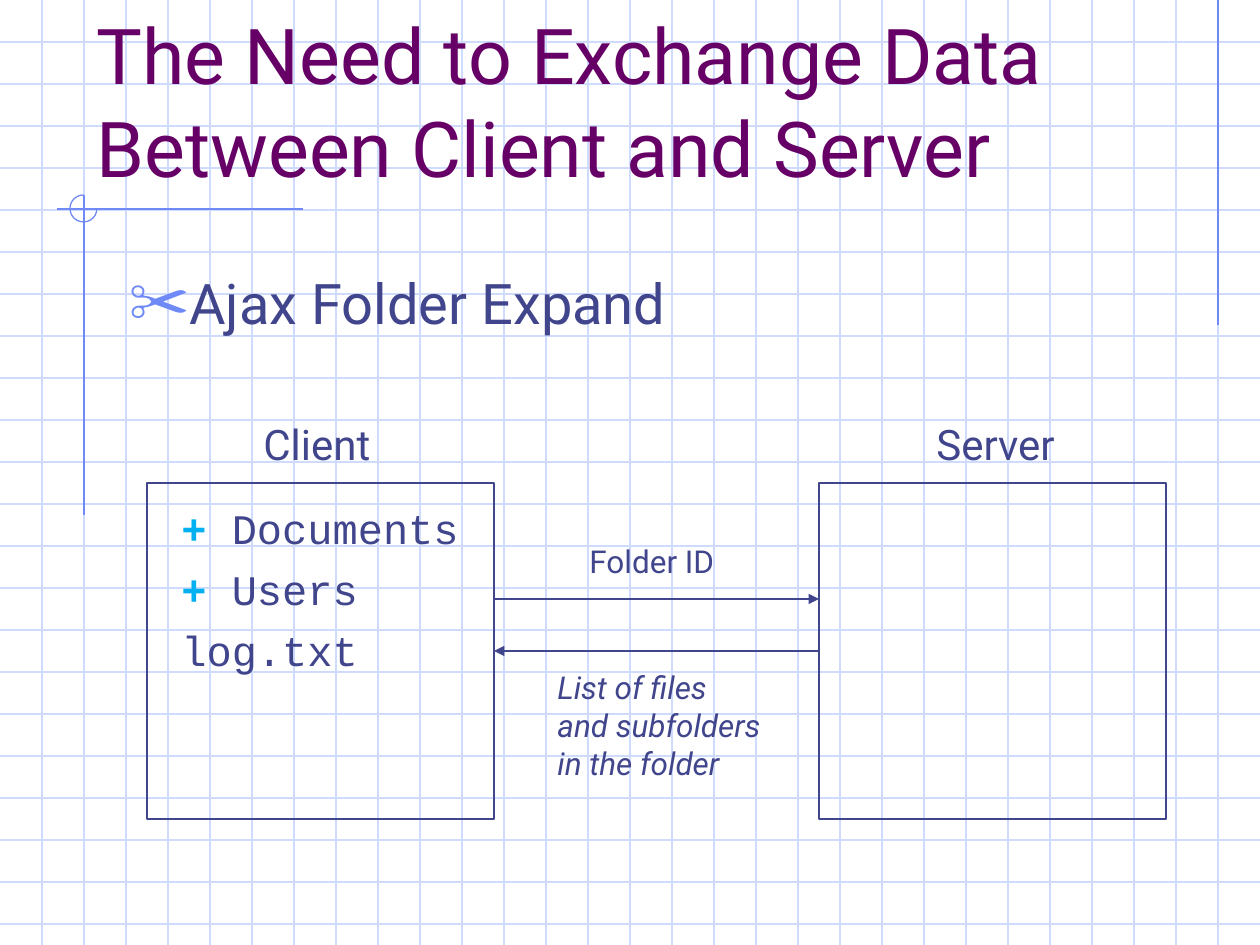
"""Build a slide on the data exchanged between an Ajax client and its server."""
from dataclasses import dataclass

from lxml import etree
from pptx import Presentation
from pptx.dml.color import RGBColor
from pptx.enum.shapes import MSO_CONNECTOR, MSO_SHAPE
from pptx.enum.text import MSO_ANCHOR, MSO_AUTO_SIZE, PP_ALIGN
from pptx.oxml.ns import qn
from pptx.util import Emu, Pt

STRAIGHT = MSO_CONNECTOR.STRAIGHT
RECTANGLE, ARC = MSO_SHAPE.RECTANGLE, MSO_SHAPE.ARC
TOP, BOTTOM = MSO_ANCHOR.TOP, MSO_ANCHOR.BOTTOM
NO_RESIZE, LEFT = MSO_AUTO_SIZE.NONE, PP_ALIGN.LEFT

EMU_PER_PX = 914400 / 126
WIDTH, HEIGHT, GRID = 1260, 945, 42
SANS, MONO = "Roboto", "Courier New"
COLORS = {
    "grid": "CFDBFD",
    "accent": "6F89F7",
    "title": "660066",
    "text": "40458C",
    "plus": "00B0F0",
}


@dataclass
class Box:
    left: int
    top: int
    width: int
    height: int


@dataclass
class Line:
    start: tuple[int, int]
    end: tuple[int, int]
    color: str
    arrow: bool = False


@dataclass
class Label:
    text: str
    box: Box
    size: int
    italic: bool = False


@dataclass
class Entry:
    marker: str
    name: str


GRID_LINES = [Line((0, y), (WIDTH, y), "grid") for y in range(GRID, HEIGHT, GRID)] + [
    Line((x, 0), (x, HEIGHT), "grid") for x in range(GRID, WIDTH, GRID)
]
ACCENT_LINES = [
    Line((1218, 0), (1218, 325), "accent"),
    Line((303, 209), (57, 209), "accent"),
    Line((84, 195), (84, 515), "accent"),
]
MESSAGES = [
    Line((494, 599), (819, 599), "text", arrow=True),
    Line((819, 651), (494, 651), "text", arrow=True),
]
RING = Box(70, 195, 27, 27)
MACHINES = [Box(147, 483, 347, 336), Box(819, 483, 347, 336)]
LABELS = [
    Label("Client", Box(251, 412, 137, 63), 24),
    Label("Server", Box(924, 412, 151, 63), 24),
    Label("Folder ID", Box(577, 536, 160, 50), 18),
    Label("List of files\nand subfolders\nin the folder", Box(545, 662, 233, 126), 18, italic=True),
]
FOLDER_BOX = Box(169, 496, 302, 185)
FOLDER = [Entry("+", " Documents"), Entry("+", " Users"), Entry("", "log.txt")]


def px(value: int) -> Emu:
    return Emu(round(value * EMU_PER_PX))


def frame(box: Box) -> tuple:
    return px(box.left), px(box.top), px(box.width), px(box.height)


def rgb(color: str) -> RGBColor:
    return RGBColor.from_string(COLORS[color])


def style_font(font, name: str, size: int, color: str) -> None:
    font.name = name
    font.size = Pt(size)
    font.color.rgb = rgb(color)


def draw_line(shapes, line: Line) -> None:
    connector = shapes.add_connector(STRAIGHT, *map(px, line.start + line.end))
    connector.line.color.rgb = rgb(line.color)
    connector.line.width = Pt(0.75)
    properties = connector._element.spPr
    if line.arrow:
        etree.SubElement(properties.find(qn("a:ln")), qn("a:tailEnd"), type="triangle")
    etree.SubElement(properties, qn("a:effectLst"))


def draw_outline(shapes, kind, box: Box, color: str):
    shape = shapes.add_shape(kind, *frame(box))
    shape.shadow.inherit = False
    shape.fill.background()
    shape.line.color.rgb = rgb(color)
    shape.line.width = Pt(0.75)
    return shape


def add_text_frame(shapes, box: Box):
    text_frame = shapes.add_textbox(*frame(box)).text_frame
    text_frame.word_wrap = False
    return text_frame


def draw_label(shapes, label: Label) -> None:
    text_frame = add_text_frame(shapes, label.box)
    text_frame.text = label.text
    for paragraph in text_frame.paragraphs:
        style_font(paragraph.runs[0].font, SANS, label.size, "text")
        paragraph.runs[0].font.italic = label.italic


def draw_folder(shapes, box: Box, entries: list[Entry]) -> None:
    text_frame = add_text_frame(shapes, box)
    for index, entry in enumerate(entries):
        paragraph = text_frame.add_paragraph() if index else text_frame.paragraphs[0]
        paragraph.space_after = Pt(6)
        for text, color in ((entry.marker, "plus"), (entry.name, "text")):
            if text:
                run = paragraph.add_run()
                run.text = text
                style_font(run.font, MONO, 24, color)
                run.font.bold = color == "plus"


def fill_placeholder(placeholder, text: str, box: Box, anchor, size: int, color: str):
    placeholder.left, placeholder.top, placeholder.width, placeholder.height = frame(box)
    text_frame = placeholder.text_frame
    text_frame.text = text
    text_frame.word_wrap = True
    text_frame.auto_size = NO_RESIZE
    text_frame.vertical_anchor = anchor
    paragraph = text_frame.paragraphs[0]
    paragraph.alignment = LEFT
    paragraph.space_before = Pt(0)
    style_font(paragraph.runs[0].font, SANS, size, color)
    return paragraph


def add_scissors_bullet(paragraph) -> None:
    properties = paragraph._p.get_or_add_pPr()
    properties.set("marL", str(px(48)))
    properties.set("indent", str(px(-48)))
    bullet_color = etree.SubElement(properties, qn("a:buClr"))
    etree.SubElement(bullet_color, qn("a:srgbClr"), val=COLORS["accent"])
    etree.SubElement(properties, qn("a:buSzPct"), val="110000")
    etree.SubElement(properties, qn("a:buChar"), char="✂")


def main() -> None:
    presentation = Presentation()
    presentation.slide_width, presentation.slide_height = px(WIDTH), px(HEIGHT)
    slide = presentation.slides.add_slide(presentation.slide_layouts[1])
    shapes = slide.shapes
    title, body = slide.placeholders
    for line in GRID_LINES + ACCENT_LINES:
        draw_line(shapes, line)
    ring = draw_outline(shapes, ARC, RING, "accent")
    ring.adjustments[0], ring.adjustments[1] = 0, 162
    for placeholder in (title, body):
        shapes._spTree.append(placeholder._element)
    fill_placeholder(title, "The Need to Exchange Data Between Client and Server",
                     Box(84, 42, 1071, 157), BOTTOM, 44, "title")
    heading = fill_placeholder(body, "Ajax Folder Expand",
                               Box(116, 262, 1071, 84), TOP, 32, "text")
    add_scissors_bullet(heading)
    draw_folder(shapes, FOLDER_BOX, FOLDER)
    for machine in MACHINES:
        draw_outline(shapes, RECTANGLE, machine, "text")
    for message in MESSAGES:
        draw_line(shapes, message)
    for label in LABELS:
        draw_label(shapes, label)
    presentation.save("out.pptx")


if __name__ == "__main__":
    main()
